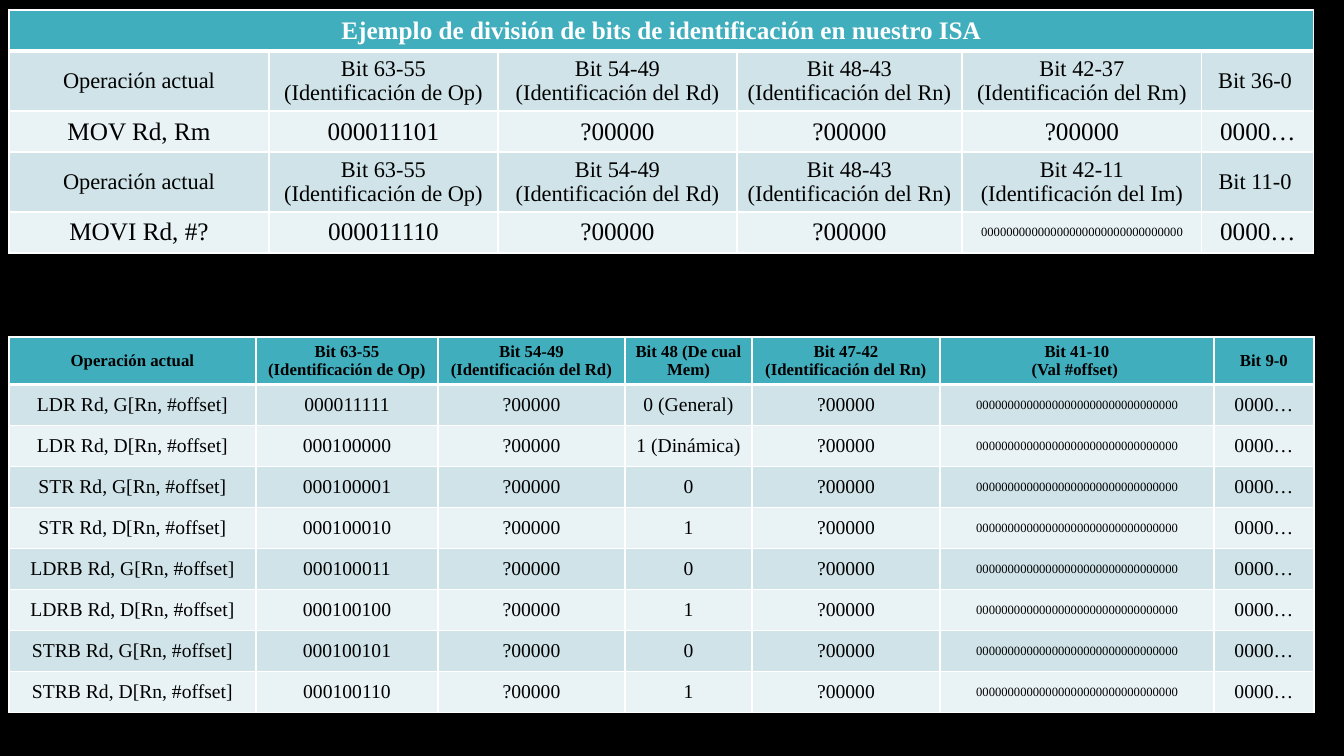
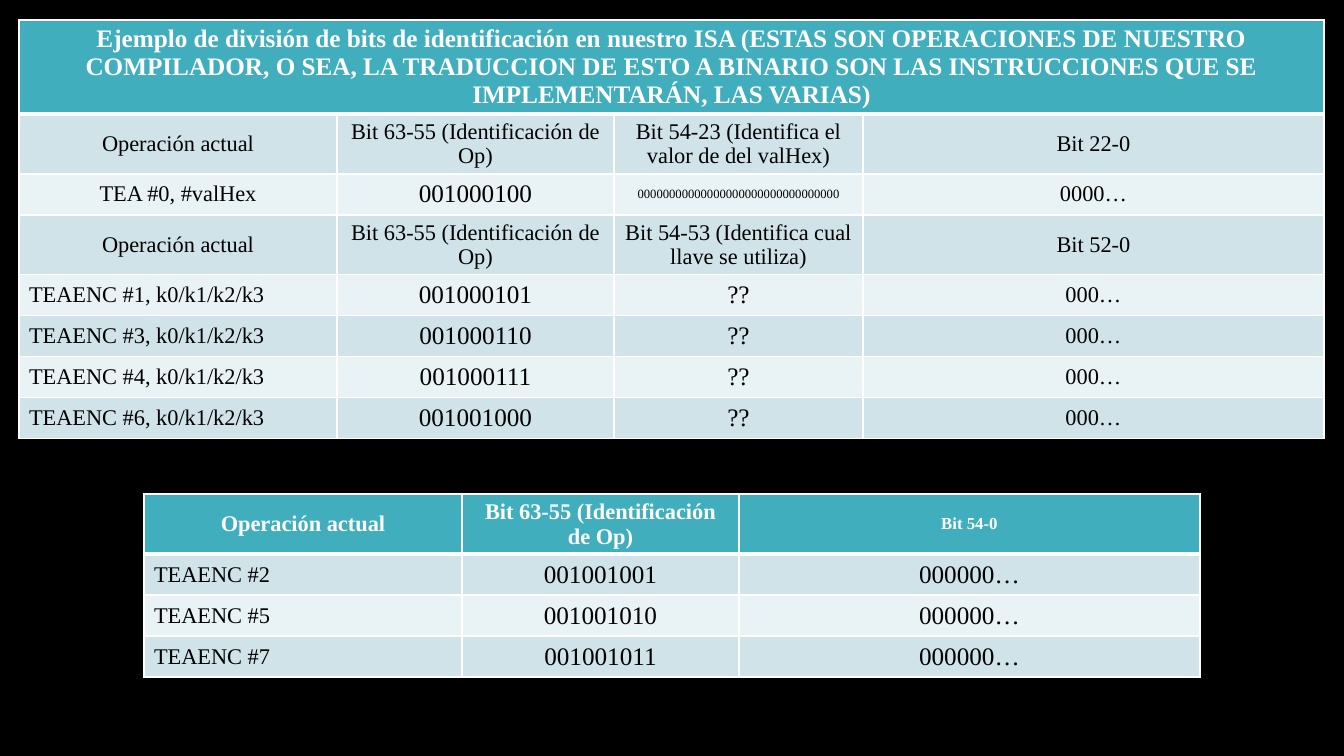
from dataclasses import dataclass
from itertools import product

from lxml import etree
from pptx import Presentation
from pptx.dml.color import RGBColor
from pptx.enum.text import MSO_ANCHOR, PP_ALIGN
from pptx.oxml.ns import qn
from pptx.util import Pt

# Shared look
CENTER, LEFT = PP_ALIGN.CENTER, PP_ALIGN.LEFT
MIDDLE = MSO_ANCHOR.MIDDLE
FONT = "Times New Roman"
BLACK, WHITE = "000000", "FFFFFF"
TEAL = "41AEBD"
BANDS = ("CFE3E8", "E9F2F4")
THIN, THICK = 1, 3
ROW_H, LABEL_H = 41, 60
SIDE = "lnL", "lnR", "lnT", "lnB"
EMU_PER_PX = 914400 / 100.8

# Repeated wording
ZEROS = "0" * 32
REG = "?00000"
REST = "0000…"
CURRENT = "Operación actual"
OP_BITS = "Bit 63-55 (Identificación de Op)"
RD_BITS = "Bit 54-49 (Identificación del Rd)"
RN_BITS = "Bit 48-43 (Identificación del Rn)"


@dataclass(frozen=True)
class Row:
    height: int
    texts: tuple[str, ...]
    sizes: tuple[int, ...]
    first_align: PP_ALIGN = CENTER


@dataclass(frozen=True)
class Grid:
    left: int
    top: int
    widths: tuple[int, ...]
    rows: tuple[Row, ...]
    head_color: str = WHITE


def px(n: int) -> int:
    return round(n * EMU_PER_PX)


def rgb(value: str) -> RGBColor:
    return RGBColor.from_string(value)


def opcode(n: int) -> str:
    return f"{n:09b}"


def set_borders(cell, top: int, bottom: int) -> None:
    tc_pr = cell._tc.get_or_add_tcPr()
    for side, width in zip(SIDE, (THIN, THIN, top, bottom)):
        ln = etree.SubElement(tc_pr, qn(f"a:{side}"), w=str(Pt(width)))
        fill = etree.SubElement(ln, qn("a:solidFill"))
        etree.SubElement(fill, qn("a:srgbClr"), val=WHITE)


def write_cell(cell, text: str, size: int, color: str, bold: bool,
               align: PP_ALIGN) -> None:
    tf = cell.text_frame
    for i, line in enumerate(text.split("\n")):
        p = tf.add_paragraph() if i else tf.paragraphs[0]
        p.alignment = align
        r = p.add_run()
        r.text = line
        r.font.name, r.font.size, r.font.bold = FONT, Pt(size), bold
        r.font.color.rgb = rgb(color)


def add_grid(slide, grid: Grid) -> None:
    width = sum(grid.widths)
    height = sum(row.height for row in grid.rows)
    table = slide.shapes.add_table(
        len(grid.rows), len(grid.widths),
        px(grid.left), px(grid.top), px(width), px(height)).table
    table.horz_banding = False
    for column, w in zip(table.columns, grid.widths):
        column.width = px(w)

    for i, row in enumerate(grid.rows):
        head = i == 0
        table.rows[i].height = px(row.height)
        for cell in table.rows[i].cells:
            set_borders(cell, THICK if i == 1 else THIN, THICK if head else THIN)
            cell.fill.solid()
            cell.fill.fore_color.rgb = rgb(TEAL if head else BANDS[(i - 1) % 2])
            cell.vertical_anchor = MIDDLE
        # A single text spans the whole row
        if len(row.texts) == 1:
            table.cell(i, 0).merge(table.cell(i, len(grid.widths) - 1))
        for j, (text, size) in enumerate(zip(row.texts, row.sizes)):
            write_cell(table.cell(i, j), text, size,
                       grid.head_color if head else BLACK, head,
                       CENTER if j else row.first_align)


# Slide 1: move operations
MOVES = Grid(9, 10, (260, 229, 239, 225, 240, 112), (
    Row(ROW_H, ("Ejemplo de división de bits de identificación en nuestro ISA",),
        (18,)),
    Row(LABEL_H, (CURRENT, OP_BITS, RD_BITS, RN_BITS,
                  "Bit 42-37 (Identificación del Rm)", "Bit 36-0 "), (16,) * 6),
    Row(ROW_H, ("MOV Rd, Rm", opcode(29), REG, REG, REG, REST), (18,) * 6),
    Row(LABEL_H, (CURRENT, OP_BITS, RD_BITS, RN_BITS,
                  "Bit 42-11 (Identificación del Im)", "Bit 11-0 "), (16,) * 6),
    Row(ROW_H, ("MOVI Rd, #?", opcode(30), REG, REG, ZEROS, REST),
        (18, 18, 18, 18, 9, 18)),
))

# Slide 1: memory operations, each on general (G) and dynamic (D) memory
MEMORY_FLAGS = ["0 (General)", "1 (Dinámica)"] + ["0", "1"] * 3
MEMORY_OPS = product(("LDR", "STR", "LDRB", "STRB"), "GD")
MEMORY = Grid(9, 337, (247, 182, 187, 127, 188, 274, 100), (
    Row(47, (CURRENT, OP_BITS, RD_BITS, "Bit 48 (De cual Mem)",
             "Bit 47-42 (Identificación del Rn)", "Bit 41-10\n(Val #offset) ",
             "Bit 9-0"), (12,) * 7),
    *(Row(ROW_H, (f"{op} Rd, {mem}[Rn, #offset]", opcode(31 + i), REG, flag,
                  REG, ZEROS, REST), (14, 14, 14, 14, 14, 9, 14))
      for i, ((op, mem), flag) in enumerate(zip(MEMORY_OPS, MEMORY_FLAGS))),
), BLACK)

# Slide 2: compiler operations that use a value or a key
KEYS = Grid(19, 20, (318, 277, 249, 461), (
    Row(94, ("Ejemplo de división de bits de identificación en nuestro ISA "
             "(ESTAS SON OPERACIONES DE NUESTRO COMPILADOR, O SEA, LA TRADUCCION "
             "DE ESTO A BINARIO SON LAS INSTRUCCIONES QUE SE IMPLEMENTARÁN, "
             "LAS VARIAS)",), (18,)),
    Row(LABEL_H, (CURRENT, OP_BITS,
                  "Bit 54-23 (Identifica el valor de del valHex)", "Bit 22-0"),
        (16,) * 4),
    Row(ROW_H, ("TEA #0, #valHex", opcode(68), ZEROS, REST), (16, 18, 9, 16)),
    Row(LABEL_H, (CURRENT, OP_BITS,
                  "Bit 54-53 (Identifica cual llave se utiliza)", "Bit 52-0"),
        (16,) * 4),
    *(Row(ROW_H, (f"TEAENC #{n}, k0/k1/k2/k3", opcode(69 + i), "??", "000…"),
          (16, 18, 18, 16), LEFT) for i, n in enumerate((1, 3, 4, 6))),
))

# Slide 2: compiler operations without operands
NO_KEYS = Grid(144, 494, (318, 277, 461), (
    Row(LABEL_H, (CURRENT, OP_BITS, "Bit 54-0"), (16, 16, 12)),
    *(Row(ROW_H, (f"TEAENC #{n}", opcode(73 + i), "000000…"), (16, 18, 18), LEFT)
      for i, n in enumerate((2, 5, 7))),
))


def main() -> None:
    prs = Presentation()
    prs.slide_width, prs.slide_height = px(1344), px(756)
    background = prs.slide_master.background.fill
    background.solid()
    background.fore_color.rgb = rgb(BLACK)
    blank = prs.slide_layouts[6]
    for grids in ((MOVES, MEMORY), (KEYS, NO_KEYS)):
        slide = prs.slides.add_slide(blank)
        for grid in grids:
            add_grid(slide, grid)
    prs.save("out.pptx")


if __name__ == "__main__":
    main()
